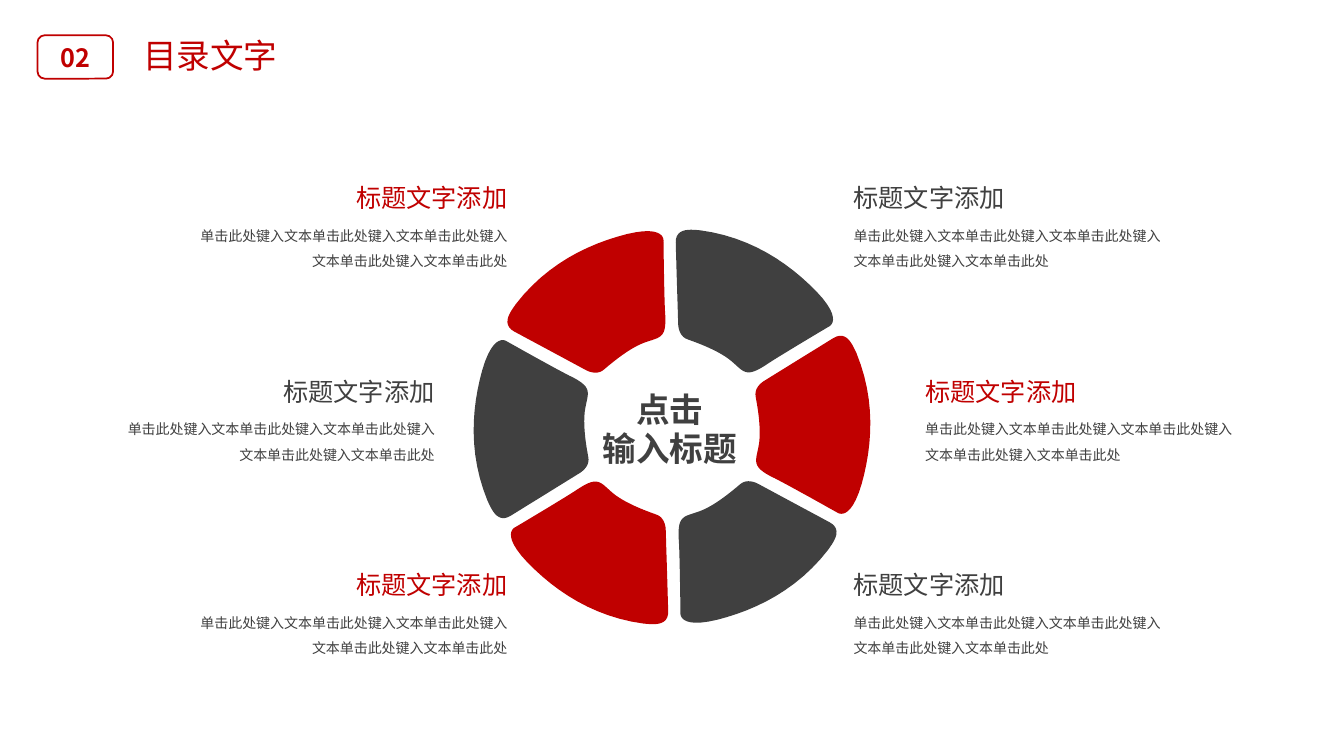
"""Build a contents slide with a six-part ring and six captions."""
import math

import pptx
import pptx.dml.color
import pptx.enum.shapes
import pptx.enum.text
import pptx.oxml
import pptx.oxml.ns
import pptx.util

Pt = pptx.util.Pt
ALIGN = pptx.enum.text.PP_ALIGN
RED = pptx.dml.color.RGBColor(0xC0, 0x00, 0x00)
GRAY = pptx.dml.color.RGBColor(0x40, 0x40, 0x40)

RING_CENTRE = (480, 305)
SEGMENT_START = (70.6, 35.3)
SEGMENT_CURVES = [
    ((78.5, 38.9), (118.1, 61.2), (118.1, 61.2)),
    ((118.1, 61.2), (127.4, 68.4), (135.4, 41)),
    ((143.3, 13), (145.4, -19.4), (131.8, -52.6)),
    ((129.6, -56.9), (125.3, -69.8), (115.2, -63.4)),
    ((105.8, -57.6), (66.2, -33.1), (66.2, -33.1)),
    ((66.2, -33.1), (58.3, -28.8), (59.8, -21.6)),
    ((61.2, -13.7), (64.1, 2.2), (61.9, 13.7)),
    ((59.8, 24.5), (56.9, 28.1), SEGMENT_START),
]
CURVE_STEPS = 12

CAPTION_TITLE = "标题文字添加"
CAPTION_BODY = "单击此处键入文本" * 4 + "单击此处"
CAPTION_TOP, CAPTION_PITCH, BODY_DROP = 125.3, 138.2, 27.4
HEADING_WIDTH, BODY_WIDTH = 126.7, 236.9
LEFT_EDGES = (369.4, 317.5, 369.4)
RIGHT_EDGES = (602.6, 653.8, 602.6)


def segment_outline():
    start, points = SEGMENT_START, []
    for first, second, end in SEGMENT_CURVES:
        for step in range(1, CURVE_STEPS + 1):
            t = step / CURVE_STEPS
            u = 1 - t
            points.append(tuple(
                u**3 * a + 3 * u * u * t * b + 3 * u * t * t * c + t**3 * d
                for a, b, c, d in zip(start, first, second, end)))
        start = end
    return points


class RingSlide:
    def __init__(self, presentation, font):
        self.font = font
        self.slide = presentation.slides.add_slide(presentation.slide_layouts[5])

    def set_text(self, holder, text, size, color, align, spacing, bold=False):
        frame = holder.text_frame
        frame.text = text
        frame.word_wrap = True
        frame.auto_size = pptx.enum.text.MSO_AUTO_SIZE.NONE
        frame.vertical_anchor = pptx.enum.text.MSO_ANCHOR.TOP
        for paragraph in frame.paragraphs:
            paragraph.alignment = align
            paragraph.line_spacing = Pt(spacing)
            for run in paragraph.runs:
                run.font.size = Pt(size)
                run.font.bold = bold
                run.font.color.rgb = color
                run.font.name = self.font
                east_asian = pptx.oxml.parse_xml(
                    f'<a:ea {pptx.oxml.ns.nsdecls("a")} typeface="{self.font}"/>')
                run.font._element.append(east_asian)

    def title(self, text, left, top, width, height):
        heading = self.slide.shapes.title
        heading.left, heading.top = Pt(left), Pt(top)
        heading.width, heading.height = Pt(width), Pt(height)
        self.set_text(heading, text, 24, RED, ALIGN.JUSTIFY, 31)

    def text(self, text, left, top, width, height, *style, bold=False):
        box = self.slide.shapes.add_textbox(Pt(left), Pt(top), Pt(width), Pt(height))
        self.set_text(box, text, *style, bold=bold)

    def badge(self, left, top, width, height):
        frame = self.slide.shapes.add_shape(
            pptx.enum.shapes.MSO_SHAPE.ROUNDED_RECTANGLE,
            Pt(left), Pt(top), Pt(width), Pt(height))
        frame.shadow.inherit = False
        frame.fill.background()
        frame.line.color.rgb = RED
        frame.line.width = Pt(1.25)

    def segment(self, outline, degrees, color):
        cos, sin = math.cos(math.radians(degrees)), math.sin(math.radians(degrees))
        centre_x, centre_y = RING_CENTRE
        turned = [(Pt(centre_x + x * cos - y * sin), Pt(centre_y + x * sin + y * cos))
                  for x, y in outline]
        builder = self.slide.shapes.build_freeform(*turned[-1])
        builder.add_line_segments(turned, close=True)
        piece = builder.convert_to_shape()
        piece.shadow.inherit = False
        piece.fill.solid()
        piece.fill.fore_color.rgb = color
        piece.line.fill.background()

    def caption(self, edge, top, align, color):
        shift = 1 if align == ALIGN.RIGHT else 0
        self.text(CAPTION_TITLE, edge - shift * HEADING_WIDTH, top,
                  HEADING_WIDTH, 29, 18, color, align, 23)
        self.text(CAPTION_BODY, edge - shift * BODY_WIDTH, top + BODY_DROP,
                  BODY_WIDTH, 42, 10, GRAY, align, 18.2)


def main():
    presentation = pptx.Presentation()
    presentation.slide_width, presentation.slide_height = Pt(960), Pt(540)
    contents = RingSlide(presentation, "Noto Sans CJK SC")

    contents.title("目录文字", 95, 19.4, 119.5, 36)
    contents.badge(26.8, 25.2, 54, 31)
    contents.text("02", 31, 25.2, 45.4, 29, 18, RED, ALIGN.CENTER, 23, bold=True)

    outline = segment_outline()
    for index in range(6):
        contents.segment(outline, index * 60, (RED, GRAY)[index % 2])
    contents.text("点击\n输入标题", 415.4, 275, 126, 65.5,
                  24, GRAY, ALIGN.CENTER, 28, bold=True)

    sides = ((LEFT_EDGES, ALIGN.RIGHT), (RIGHT_EDGES, ALIGN.LEFT))
    for side, (edges, align) in enumerate(sides):
        for row, edge in enumerate(edges):
            contents.caption(edge, CAPTION_TOP + row * CAPTION_PITCH, align,
                             (RED, GRAY)[(side + row) % 2])

    presentation.save("out.pptx")


if __name__ == "__main__":
    main()
